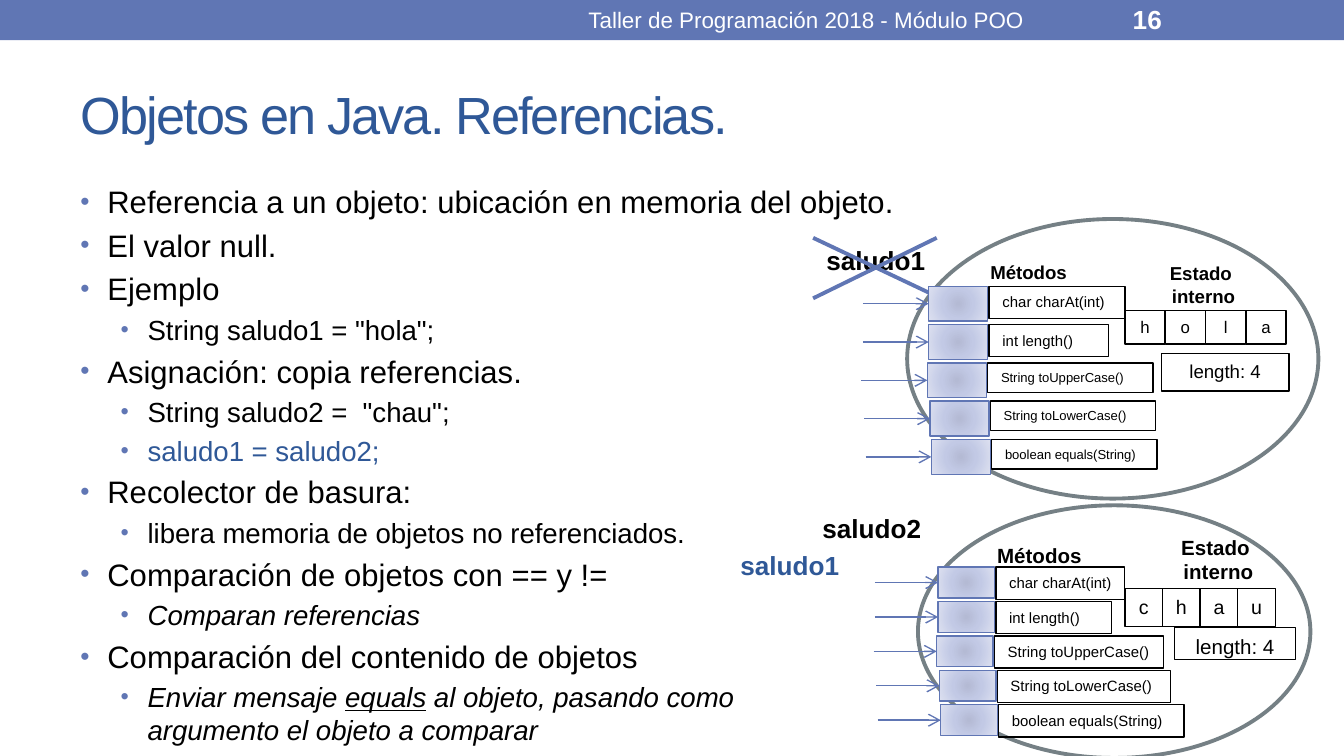
from lxml.etree import SubElement
from pptx import Presentation
from pptx.dml.color import RGBColor as Rgb
from pptx.enum.shapes import MSO_CONNECTOR as Link, MSO_SHAPE as Kind
from pptx.enum.text import MSO_ANCHOR as Anchor, MSO_AUTO_SIZE as Fit, PP_ALIGN as Align
from pptx.oxml.ns import qn
from pptx.util import Inches, Pt

COLORS = {
    "blue": "6076B4", "navy": "2F5897", "gray": "758085",
    "black": "000000", "white": "FFFFFF",
    "core": "B4BAD4", "mid": "C2C9E5", "edge": "DDE1F1",
}
FONT = "Arial"

# Level and text of each bullet; a list holds runs
BULLETS = [
    (0, "Referencia a un objeto: ubicación en memoria del objeto.", {}),
    (0, "El valor null.", {}),
    (0, "Ejemplo", {}),
    (1, 'String saludo1 = "hola";', {}),
    (0, "Asignación: copia referencias.", {}),
    (1, 'String saludo2 =  "chau";', {}),
    (1, "saludo1 = saludo2;", {"color": "navy"}),
    (0, "Recolector de basura:", {}),
    (1, "libera memoria de objetos no referenciados.", {}),
    (0, "Comparación de objetos con == y !=", {}),
    (1, "Comparan referencias", {"italic": True}),
    (0, "Comparación del contenido de objetos", {}),
    (1, ["Enviar mensaje ", "equals",
         " al objeto, pasando como \nargumento el objeto a comparar"], {"italic": True}),
]
# Per level: font size, space before, left indent
LEVELS = [(16.65, 3.4, 0.2), (14.8, 2.95, 0.5)]

METHODS = ["char charAt(int)", "int length()", "String toUpperCase()",
           "String toLowerCase()", "boolean equals(String)"]
SHIFTS = [0, 0, -0.01, 0.01, 0.02]

CHAU = {
    "oval": (6.83, 3.76, 2.92, 1.88), "word": "chau", "cell": (4.38, 0.28, 0.28, 10.5),
    "state": (8.28, 3.93, 1.53, 0.47), "length": (8.74, 4.67, 0.9, 0.24),
    "head": (7.32, 3.99, 1.39, 0.24), "size": 11,
    "port": (6.98, 4.22, 0.42, 0.23), "pitch": 0.256, "gap": 0.43, "arrow": 0.47,
    "widths": [0.96, 0.86, 1.26, 1.29, 1.38],
    "heights": [0.24] * 5, "sizes": [8] * 5,
}
HOLA = {
    "oval": (6.75, 1.63, 3.06, 2.08), "word": "hola", "cell": (2.31, 0.3, 0.25, 9),
    "state": (8.21, 1.9, 1.45, 0.45), "length": (8.64, 2.63, 0.95, 0.28),
    "head": (7.27, 1.89, 1.45, 0.28), "size": 10,
    "port": (6.91, 2.13, 0.44, 0.26), "pitch": 0.285, "gap": 0.45, "arrow": 0.49,
    "widths": [1.01, 0.89, 1.23, 1.23, 1.23],
    "heights": [0.24, 0.24, 0.22, 0.22, 0.22], "sizes": [8, 8, 7, 7, 7],
}


def rgb(name):
    return Rgb.from_string(COLORS[name])


def add_run(para, text, size=12, color="black", bold=False, italic=False, under=False):
    for i, line in enumerate(text.split("\n")):
        if i:
            para.add_line_break()
        run = para.add_run()
        run.text = line
        font = run.font
        font.name, font.size = FONT, Pt(size)
        font.bold, font.italic, font.underline = bold, italic, under
        font.color.rgb = rgb(color)


def write(shape, text, align=Align.LEFT, anchor=Anchor.TOP, **style):
    """Fill a shape with text, one paragraph per line."""
    frame = shape.text_frame
    frame.word_wrap, frame.auto_size = True, Fit.NONE
    frame.vertical_anchor = anchor
    for i, line in enumerate(text.split("\n")):
        para = frame.add_paragraph() if i else frame.paragraphs[0]
        para.alignment = align
        add_run(para, line, **style)


def label(shapes, box, text, **style):
    item = shapes.add_textbox(*map(Inches, box))
    write(item, text, **style)
    return item


def block(shapes, box, kind=Kind.RECTANGLE, fill=None, line=None, width=0.75):
    item = shapes.add_shape(kind, *map(Inches, box))
    item.shadow.inherit = False
    if fill:
        item.fill.solid()
        item.fill.fore_color.rgb = rgb(fill)
    else:
        item.fill.background()
    if line:
        item.line.color.rgb = rgb(line)
        item.line.width = Pt(width)
    else:
        item.line.fill.background()
    return item


def glow(shape):
    """Give a shape a round gradient from its centre."""
    shape.fill.gradient()
    grad = shape._element.spPr.find(qn("a:gradFill"))
    for child in list(grad):
        grad.remove(child)
    stops = SubElement(grad, qn("a:gsLst"))
    for pos, name in [(0, "core"), (45, "mid"), (100, "edge")]:
        stop = SubElement(stops, qn("a:gs"), pos=str(pos * 1000))
        SubElement(stop, qn("a:srgbClr"), val=COLORS[name])
    way = SubElement(grad, qn("a:path"), path="circle")
    SubElement(way, qn("a:fillToRect"), **dict.fromkeys("ltrb", "50000"))


def stroke(shapes, ends, width=0.75, arrow=False):
    item = shapes.add_connector(Link.STRAIGHT, *map(Inches, ends))
    item.line.color.rgb = rgb("blue")
    item.line.width = Pt(width)
    if arrow:
        SubElement(item.line._get_or_add_ln(), qn("a:tailEnd"), type="arrow")
    SubElement(item._element.spPr, qn("a:effectLst"))
    return item


def bullets(slide):
    frame = slide.shapes.add_textbox(*map(Inches, (0.5, 1.31, 9.31, 4))).text_frame
    frame.word_wrap = True
    for i, (level, text, style) in enumerate(BULLETS):
        para = frame.add_paragraph() if i else frame.paragraphs[0]
        size, space, left = LEVELS[level]
        para.level, para.space_before = level, Pt(space)
        props = para._p.get_or_add_pPr()
        props.set("marL", str(Inches(left)))
        props.set("indent", str(Inches(-0.2)))
        tint = SubElement(props, qn("a:buClr"))
        SubElement(tint, qn("a:srgbClr"), val=COLORS["blue"])
        SubElement(props, qn("a:buSzPct"), val="85000")
        SubElement(props, qn("a:buFont"), typeface=FONT)
        SubElement(props, qn("a:buChar"), char="•")
        for part in [text] if isinstance(text, str) else text:
            add_run(para, part, size=size, under=part == "equals", **style)


def draw_object(slide, data):
    """An oval with its state cells and its methods."""
    shapes = slide.shapes.add_group_shape().shapes
    block(shapes, data["oval"], Kind.OVAL, "white", "gray", 2.08)

    # Internal state
    top, wide, high, size = data["cell"]
    for i, char in enumerate(data["word"]):
        cell = block(shapes, (8.37 + i * wide, top, wide, high), line="black")
        write(cell, char, align=Align.CENTER, size=size)
    size = data["size"]
    label(shapes, data["state"], "Estado\n interno", align=Align.CENTER, size=size, bold=True)
    write(block(shapes, data["length"], line="black"), "length: 4",
          align=Align.CENTER, size=size)

    # Methods with their ports and arrows
    label(shapes, data["head"], "Métodos", size=size, bold=True)
    left, top, wide, high = data["port"]
    rows = zip(METHODS, SHIFTS, data["widths"], data["heights"], data["sizes"])
    for i, (name, shift, w, h, size) in enumerate(rows):
        x, y = left + shift, top + i * data["pitch"]
        write(block(shapes, (x + data["gap"], y, w, h), line="black"), name, size=size)
        port = block(shapes, (x, y, wide, high), line="blue")
        glow(port)
        mid = y + high / 2
        stroke(shapes, (x - data["arrow"], mid, x, mid), arrow=True).end_connect(port, 1)


def main():
    deck = Presentation()
    # Widescreen, 16 to 9
    deck.slide_width, deck.slide_height = Inches(10), Inches(10 * 9 / 16)
    slide = deck.slides.add_slide(deck.slide_layouts[5])
    shapes = slide.shapes

    # Title
    title = shapes.title
    title.left, title.top, title.width, title.height = map(Inches, (0.5, 0.44, 9, 0.81))
    write(title, "Objetos en Java. Referencias.", anchor=Anchor.MIDDLE, size=28, color="navy")
    title.text_frame.paragraphs[0].runs[0].font._element.set("spc", "-100")

    # Header band
    block(shapes, (0, 0, 10, 0.3), fill="blue")
    label(shapes, (3.75, 0.01, 4.5, 0.27), "Taller de Programación 2018 - Módulo POO",
          align=Align.CENTER, anchor=Anchor.MIDDLE, color="white")
    label(shapes, (8.33, 0.01, 1.17, 0.27), "16",
          anchor=Anchor.MIDDLE, size=14, color="white", bold=True)

    bullets(slide)

    # Objects, references and the crossed-out name
    draw_object(slide, CHAU)
    for x, y, name, color in [(6.05, 1.77, "saludo1", "black"),
                              (6.02, 3.76, "saludo2", "black"),
                              (5.41, 4.04, "saludo1", "navy")]:
        label(shapes, (x, y, 1.39, 0.34), name, size=14, bold=True, color=color)
    stroke(shapes, (6.05, 2.22, 6.97, 1.77), width=2.08)
    stroke(shapes, (6.05, 1.77, 7, 2.22), width=2.08)
    draw_object(slide, HOLA)

    deck.save("out.pptx")


if __name__ == "__main__":
    main()
